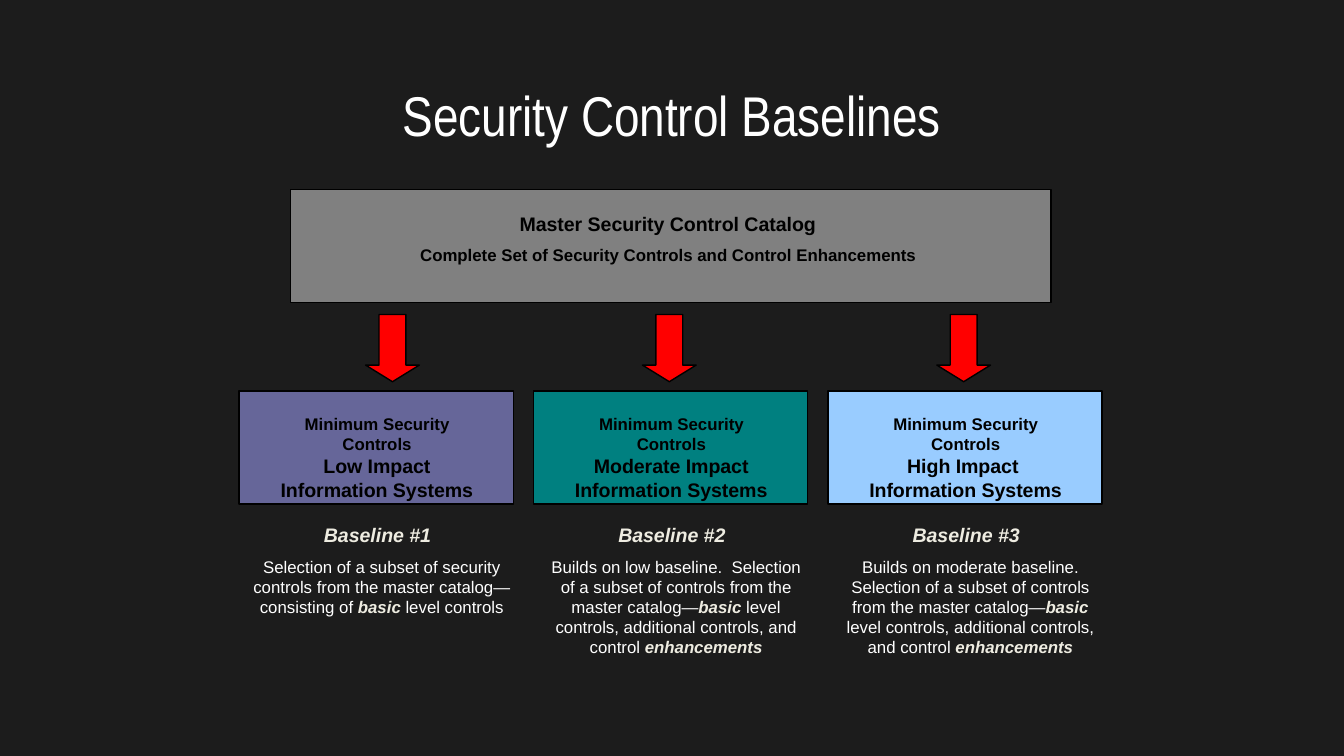
import dataclasses
import pptx
import pptx.dml.color
import pptx.enum.shapes
import pptx.enum.text
import pptx.util

SHAPE = pptx.enum.shapes.MSO_SHAPE
ANCHOR = pptx.enum.text.MSO_ANCHOR
ALIGN = pptx.enum.text.PP_ALIGN
FIT = pptx.enum.text.MSO_AUTO_SIZE
WIDE = 10
HIGH = WIDE * 9 / 16

COLORS = {
    "back": "1C1C1C", "white": "FFFFFF", "black": "000000", "cream": "EEECE1",
    "gray": "808080", "red": "FF0000",
    "low": "666699", "mid": "008080", "high": "99CCFF",
}

# Grid: three equal columns, and the top of each row
LEFT, STEP, CELL = 1.78, 2.19, 2.04
ROWS = {"master": 1.41, "arrow": 2.34, "level": 2.91, "name": 3.84, "note": 4.09}
BOX = 0.84    # height of every filled box
PAD = 0.12    # shift of a label inside its box


@dataclasses.dataclass
class Run:
    text: str
    size: float = 9
    color: str = "white"
    bold: bool = False
    slant: bool = False
    font: str = "Arial"


@dataclasses.dataclass
class Area:
    left: float
    top: float
    width: float
    height: float

    def place(self) -> list:
        return [pptx.util.Inches(n) for n in dataclasses.astuple(self)]


@dataclasses.dataclass
class Level:
    fill: str
    lines: list[str]
    note: list[Run]
    arrow: float    # arrow's offset from the column's left edge
    deep: float     # height of the note


def dark(text: str, size: float) -> Run:
    return Run(text, size, "black", bold=True)


def stress(text: str, size: float = 9) -> Run:
    return Run(text, size, "cream", bold=True, slant=True)


def paint(name: str) -> pptx.dml.color.RGBColor:
    return pptx.dml.color.RGBColor.from_string(COLORS[name])


def write(frame, paras: list[list[Run]], gap: float = 0) -> None:
    for i, runs in enumerate(paras):
        para = frame.paragraphs[0] if i == 0 else frame.add_paragraph()
        para.alignment = ALIGN.CENTER
        if i:
            para.space_before = pptx.util.Pt(gap)
        for item in runs:
            run = para.add_run()
            run.text = item.text
            run.font.name = item.font
            run.font.size = pptx.util.Pt(item.size)
            run.font.bold = item.bold
            run.font.italic = item.slant
            run.font.color.rgb = paint(item.color)


def label(slide, area: Area, paras: list[list[Run]], gap: float = 0) -> None:
    frame = slide.shapes.add_textbox(*area.place()).text_frame
    frame.word_wrap = True
    frame.auto_size = FIT.SHAPE_TO_FIT_TEXT
    write(frame, paras, gap)


def block(slide, kind: SHAPE, area: Area, fill: str):
    shape = slide.shapes.add_shape(kind, *area.place())
    shape.shadow.inherit = False
    shape.fill.solid()
    shape.fill.fore_color.rgb = paint(fill)
    shape.line.color.rgb = paint("black")
    shape.line.width = pptx.util.Pt(0.75)
    return shape


def column(slide, index: int, level: Level) -> None:
    left = LEFT + index * STEP

    # Arrow from the catalog
    arrow = block(slide, SHAPE.UP_ARROW,
                  Area(left + level.arrow, ROWS["arrow"], 0.4, 0.5), "red")
    arrow.rotation = 180
    arrow.adjustments[0] = 0.5
    arrow.adjustments[1] = 0.31

    # Impact level
    top = ROWS["level"]
    block(slide, SHAPE.RECTANGLE, Area(left, top, CELL, BOX), level.fill)
    paras = [[dark("Minimum Security Controls", 9)]]
    paras += [[dark(line, 10.5)] for line in level.lines]
    label(slide, Area(left + PAD, top + PAD, 1.81, 0.76), paras)

    # Baseline name and note
    label(slide, Area(left, ROWS["name"], 2.06, 0.28),
          [[stress(f"Baseline #{index + 1}", 10.5)]])
    label(slide, Area(left, ROWS["note"], 2.12, level.deep), [level.note])


def build(start: str) -> list[Run]:
    return [Run(start + "of a subset of controls from the master catalog—"),
            stress("basic"),
            Run(" level controls, additional controls, and control "),
            stress("enhancements")]


LEVELS = [
    Level("low", ["Low Impact", "Information Systems"],
          [Run("Selection of a subset of security controls from the "
               "master catalog—consisting of "),
           stress("basic"), Run(" level controls")], 0.94, 0.56),
    Level("mid", ["Moderate Impact Information Systems"],
          build("Builds on low baseline.  Selection "), 0.81, 0.86),
    Level("high", ["High Impact ", "Information Systems"],
          build("Builds on moderate baseline. Selection "), 0.81, 0.86),
]


def main() -> None:
    deck = pptx.Presentation()
    deck.slide_width = pptx.util.Inches(WIDE)
    deck.slide_height = pptx.util.Inches(HIGH)
    slide = deck.slides.add_slide(deck.slide_layouts.get_by_name("Title Only"))
    slide.background.fill.solid()
    slide.background.fill.fore_color.rgb = paint("back")

    # Title
    title = slide.shapes.title
    title.left, title.top, title.width, title.height = Area(
        1.81, 0.38, 6.38, 0.94).place()
    title.text_frame.vertical_anchor = ANCHOR.MIDDLE
    title.text_frame.auto_size = FIT.NONE
    write(title.text_frame,
          [[Run("Security Control Baselines", 30, font="Arial Narrow")]])

    # Master catalog
    top = ROWS["master"]
    block(slide, SHAPE.RECTANGLE, Area(2.16, top, 5.66, BOX), "gray")
    label(slide, Area(2.16 + PAD, top + PAD, 5.38, 0.51),
          [[dark("Master Security Control Catalog", 10.5)],
           [dark("Complete Set of Security Controls and Control Enhancements", 9)]],
          gap=5)

    # Baselines
    for index, level in enumerate(LEVELS):
        column(slide, index, level)

    deck.save("out.pptx")


if __name__ == "__main__":
    main()
